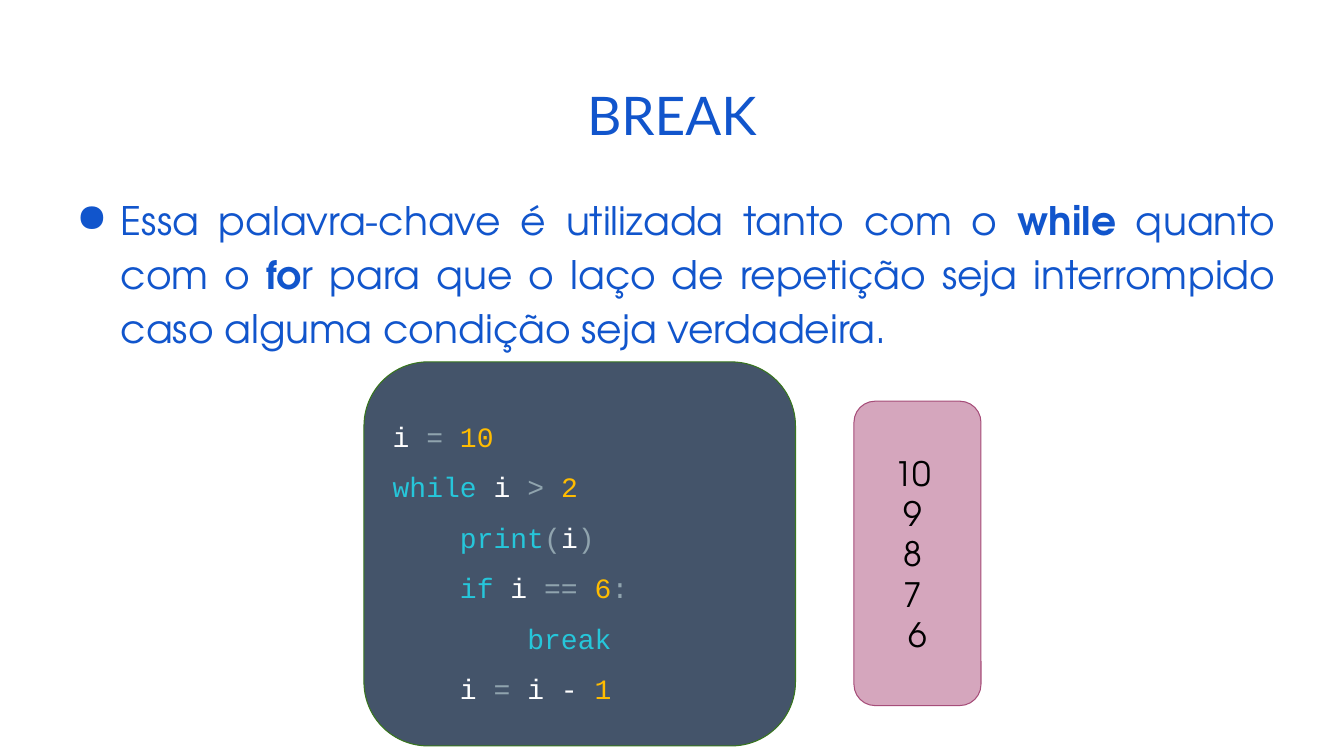
from lxml.etree import SubElement
from pptx import Presentation
from pptx.dml.color import RGBColor
from pptx.enum.shapes import MSO_SHAPE
from pptx.enum.text import MSO_ANCHOR, PP_ALIGN
from pptx.oxml.ns import qn
from pptx.util import Inches, Pt

BLUE = RGBColor(0x11, 0x55, 0xCC)
BLACK = RGBColor(0x00, 0x00, 0x00)
WHITE = RGBColor(0xFF, 0xFF, 0xFF)
GRAY = RGBColor(0x90, 0xA4, 0xAE)
AMBER = RGBColor(0xFF, 0xBC, 0x00)
CYAN = RGBColor(0x26, 0xC6, 0xDA)
SLATE = RGBColor(0x44, 0x54, 0x6A)
GREEN = RGBColor(0x38, 0x76, 0x1D)
PINK = RGBColor(0xD5, 0xA6, 0xBD)
PLUM = RGBColor(0xA6, 0x4D, 0x79)

HEAD, BODY, MONO = "Lato", "TeX Gyre Adventor", "Courier New"

# Each line is a list of runs: (text, color, bold)
TITLE = [[("BREAK", BLUE, False)]]
INTRO = [[
    ("Essa palavra-chave é utilizada tanto com o ", BLUE, False),
    ("while", BLUE, True),
    (" quanto com o ", BLUE, False),
    ("fo", BLUE, True),
    ("r para que o laço de repetição seja interrompido "
     "caso alguma condição seja verdadeira.", BLUE, False),
]]
OUTPUT = [[(text, BLACK, False)] for text in ("10 ", "9 ", "8 ", "7 ", "6")]
CODE = [[(text, color, False) for text, color in line] for line in (
    [("i ", WHITE), ("= ", GRAY), ("10", AMBER)],
    [("while", CYAN), (" i ", WHITE), ("> ", GRAY), ("2", AMBER)],
    [("    ", WHITE), ("print", CYAN), ("(", GRAY), ("i", WHITE), (")", GRAY)],
    [("    ", WHITE), ("if", CYAN), (" i ", WHITE), ("== ", GRAY),
     ("6", AMBER), (":", GRAY)],
    [("        ", WHITE), ("break", CYAN)],
    [("    i ", WHITE), ("=", GRAY), (" i - ", WHITE), ("1", AMBER)],
)]


def add_bullet(para):
    props = para._p.get_or_add_pPr()
    props.set("marL", str(Inches(0.5)))
    props.set("indent", str(Inches(-0.44)))
    color = SubElement(props, qn("a:buClr"))
    SubElement(color, qn("a:srgbClr"), val=str(BLUE))
    SubElement(props, qn("a:buChar"), char="●")


def write(shape, lines, font, size, align=PP_ALIGN.LEFT, space=1.0,
          anchor=MSO_ANCHOR.TOP, pad=0.05, bullet=False):
    frame = shape.text_frame
    frame.word_wrap = True
    frame.vertical_anchor = anchor
    frame.margin_left = frame.margin_right = Inches(0.1)
    frame.margin_top = frame.margin_bottom = Inches(pad)
    for index, line in enumerate(lines):
        para = frame.add_paragraph() if index else frame.paragraphs[0]
        para.alignment = align
        para.line_spacing = space
        if bullet:
            add_bullet(para)
        for text, color, bold in line:
            run = para.add_run()
            run.text = text
            run.font.name = font
            run.font.size = Pt(size)
            run.font.bold = bold
            run.font.color.rgb = color


def add_panel(slide, place, fill, edge):
    panel = slide.shapes.add_shape(MSO_SHAPE.ROUNDED_RECTANGLE,
                                   *map(Inches, place))
    panel.shadow.inherit = False
    panel.fill.solid()
    panel.fill.fore_color.rgb = fill
    panel.line.color.rgb = edge
    panel.line.width = Pt(0.75)
    return panel


def main():
    deck = Presentation()
    deck.slide_width, deck.slide_height = Inches(13.33), Inches(7.5)
    slide = deck.slides.add_slide(deck.slide_layouts[6])

    title = slide.shapes.add_textbox(*map(Inches, (0, 0.71, 13.33, 0.8)))
    write(title, TITLE, HEAD, 38, align=PP_ALIGN.CENTER, space=0.9,
          anchor=MSO_ANCHOR.BOTTOM)

    intro = slide.shapes.add_textbox(*map(Inches, (0.6, 1.83, 12.15, 5.25)))
    write(intro, INTRO, BODY, 28, align=PP_ALIGN.JUSTIFY, space=1.15,
          bullet=True)

    output = add_panel(slide, (8.47, 3.98, 1.26, 3.02), PINK, PLUM)
    write(output, OUTPUT, BODY, 24, align=PP_ALIGN.CENTER,
          anchor=MSO_ANCHOR.MIDDLE, pad=0.1)

    code = add_panel(slide, (3.61, 3.59, 4.28, 3.81), SLATE, GREEN)
    write(code, CODE, MONO, 20, space=1.5, anchor=MSO_ANCHOR.MIDDLE, pad=0.1)

    deck.save("out.pptx")


if __name__ == "__main__":
    main()
